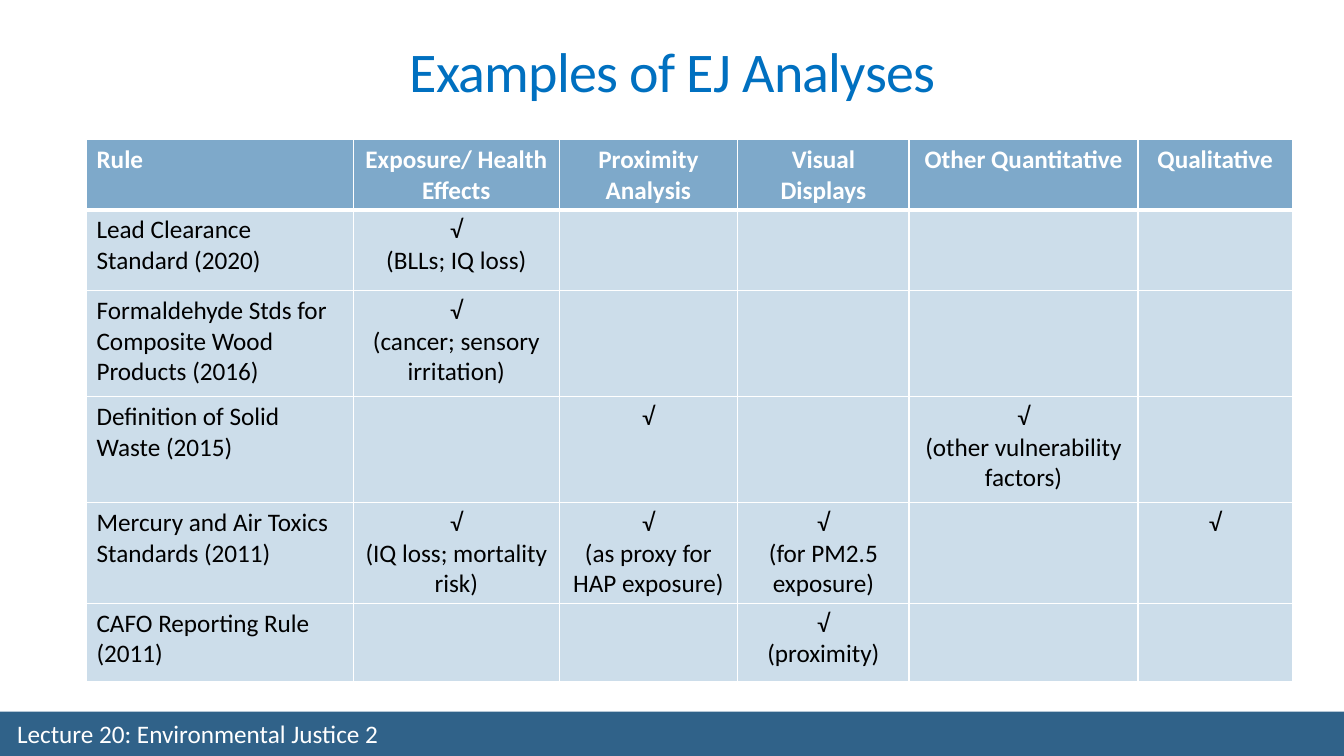
"""Build the slide that compares environmental justice analyses by rule."""
from dataclasses import dataclass, field
from typing import Any

import pptx
import pptx.dml.color
import pptx.enum.shapes
import pptx.enum.text
import pptx.oxml
import pptx.oxml.ns
import pptx.util

Cm = pptx.util.Cm
Pt = pptx.util.Pt
RGBColor = pptx.dml.color.RGBColor
Align = pptx.enum.text.PP_ALIGN
Anchor = pptx.enum.text.MSO_ANCHOR

WHITE = RGBColor(0xFF, 0xFF, 0xFF)
BLACK = RGBColor(0x00, 0x00, 0x00)
TITLE_BLUE = RGBColor(0x00, 0x70, 0xC0)
BAR_BLUE = RGBColor(0x30, 0x62, 0x89)
HEADER_BLUE = RGBColor(0x7E, 0xA9, 0xCA)
BODY_BLUE = RGBColor(0xCC, 0xDD, 0xEA)

CHECK = "√"
HEADERS = ["Rule", "Exposure/ Health Effects", "Proximity Analysis",
           "Visual Displays", "Other Quantitative", "Qualitative"]
COLUMN_WIDTHS = [6.73, 5.18, 4.5, 4.32, 5.77, 3.89]
HEADER_HEIGHT = 1.7


@dataclass
class Rule:
    """A rule, its row height in cm and the notes under its check marks by column."""
    name: str
    height: float
    checks: dict[int, str] = field(default_factory=dict)

    def texts(self) -> list[str]:
        """Return the text of each cell in the row."""
        notes = [self.checks.get(column) for column in range(1, len(HEADERS))]
        return [self.name] + ["" if note is None else f"{CHECK}\n{note}".strip()
                              for note in notes]


RULES = [
    Rule("Lead Clearance Standard (2020)", 2.03, {1: "(BLLs; IQ loss)"}),
    Rule("Formaldehyde Stds for Composite Wood Products (2016)", 2.67,
         {1: "(cancer; sensory irritation)"}),
    Rule("Definition of Solid Waste (2015)", 2.67,
         {2: "", 4: "(other vulnerability factors)"}),
    Rule("Mercury and Air Toxics Standards (2011)", 2.39,
         {1: "(IQ loss; mortality risk)", 2: "(as proxy for HAP exposure)",
          3: "(for PM2.5 exposure)", 5: ""}),
    Rule("CAFO Reporting Rule (2011)", 1.98, {3: "(proximity)"}),
]


def apply(target: Any, values: dict[str, Any]) -> None:
    """Set each named attribute on the target."""
    for name, value in values.items():
        setattr(target, name, value)


def write(frame: Any, text: str, size: float, color: RGBColor,
          bold: bool = False, align: Any = Align.LEFT) -> None:
    """Fill a text frame with evenly formatted paragraphs."""
    frame.text = text
    for para in frame.paragraphs:
        para.alignment = align
        for font in [para.font] + [span.font for span in para.runs]:
            apply(font, {"name": "Calibri", "size": Pt(size), "bold": bold})
            font.color.rgb = color


def add_border(cell: Any, side: str, width: float) -> None:
    """Draw one white edge of a table cell."""
    properties = cell._tc.get_or_add_tcPr()
    properties.append(pptx.oxml.parse_xml(
        f'<a:ln{side} {pptx.oxml.ns.nsdecls("a")} w="{Pt(width)}">'
        f'<a:solidFill><a:srgbClr val="{WHITE}"/></a:solidFill></a:ln{side}>'))


def add_title(page: Any) -> None:
    """Place and format the title."""
    title = page.shapes.title
    apply(title, {"left": Cm(6.91), "top": Cm(-1.27),
                  "width": Cm(20.07), "height": Cm(4.01)})
    apply(title.text_frame, {"word_wrap": True, "vertical_anchor": Anchor.BOTTOM})
    write(title.text_frame, "Examples of EJ Analyses", 40, TITLE_BLUE, align=Align.CENTER)
    para = title.text_frame.paragraphs[0]
    para.line_spacing = 0.85
    para.runs[0]._r.get_or_add_rPr().set("spc", "-50")


def add_footer(page: Any) -> None:
    """Draw the bottom bar with the lecture name."""
    bar = page.shapes.add_shape(pptx.enum.shapes.MSO_SHAPE.RECTANGLE,
                                Cm(0), Cm(17.93), Cm(33.87), Cm(1.17))
    bar.shadow.inherit = False
    bar.fill.solid()
    bar.fill.fore_color.rgb = BAR_BLUE
    bar.line.fill.background()
    box = page.shapes.add_textbox(Cm(0.18), Cm(18.08), Cm(16.76), Cm(0.81))
    apply(box.text_frame, {"word_wrap": True, "vertical_anchor": Anchor.MIDDLE})
    write(box.text_frame, "Lecture 20: Environmental Justice 2", 18, WHITE)


def add_rules_table(page: Any) -> None:
    """Draw the table of rules and their analyses."""
    rows = [HEADERS] + [rule.texts() for rule in RULES]
    heights = [HEADER_HEIGHT] + [rule.height for rule in RULES]
    table = page.shapes.add_table(len(rows), len(HEADERS), Cm(2.18), Cm(3.51),
                                  Cm(sum(COLUMN_WIDTHS)), Cm(sum(heights))).table
    for column, width in zip(table.columns, COLUMN_WIDTHS):
        column.width = Cm(width)
    for row, height in zip(table.rows, heights):
        row.height = Cm(height)
    for row_index, texts in enumerate(rows):
        header = row_index == 0
        edges = {"L": 1, "R": 1, "T": 3 if row_index == 1 else 1, "B": 3 if header else 1}
        for column_index, text in enumerate(texts):
            cell = table.cell(row_index, column_index)
            for side, width in edges.items():
                add_border(cell, side, width)
            cell.fill.solid()
            cell.fill.fore_color.rgb = HEADER_BLUE if header else BODY_BLUE
            write(cell.text_frame, text, 18, WHITE if header else BLACK, header,
                  Align.CENTER if column_index else Align.LEFT)


def main() -> None:
    """Create and save the deck."""
    deck = pptx.Presentation()
    apply(deck, {"slide_width": Cm(33.87), "slide_height": Cm(19.05)})
    page = deck.slides.add_slide(deck.slide_layouts[5])
    add_footer(page)
    add_title(page)
    add_rules_table(page)
    deck.save("out.pptx")


if __name__ == "__main__":
    main()
